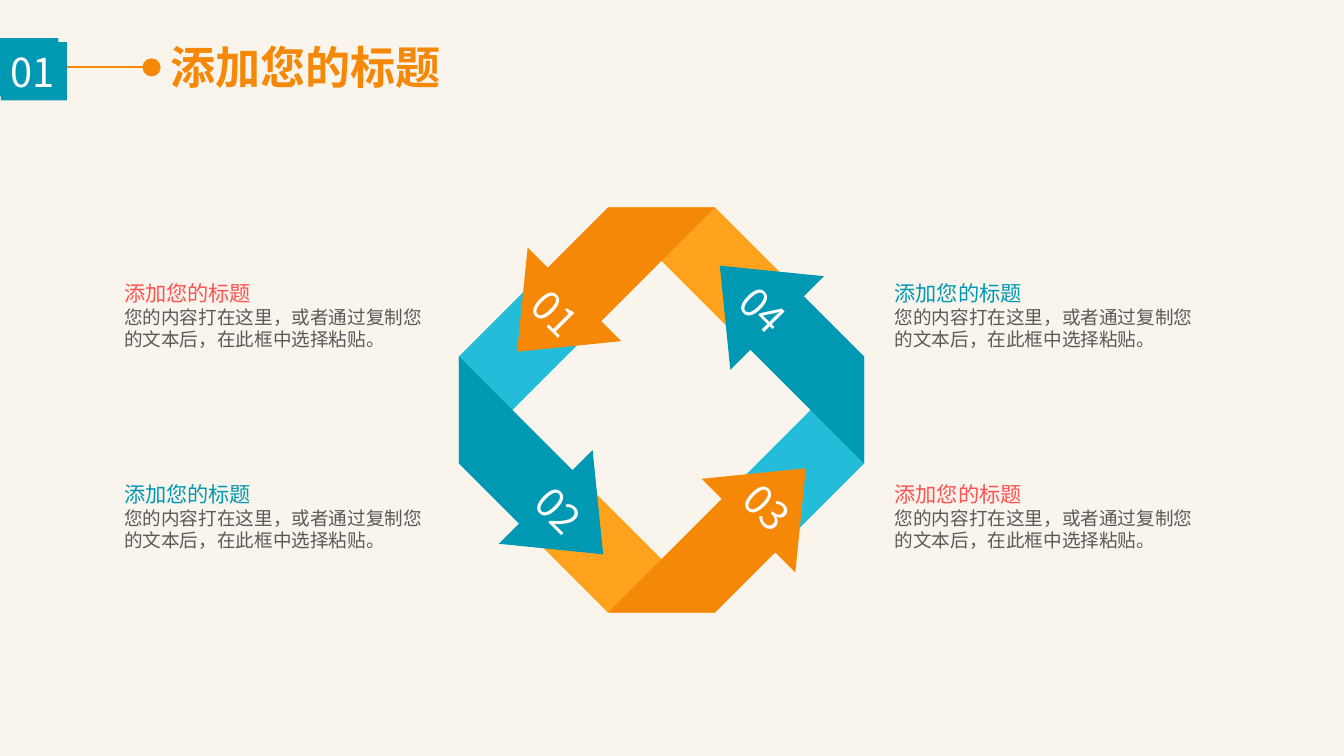
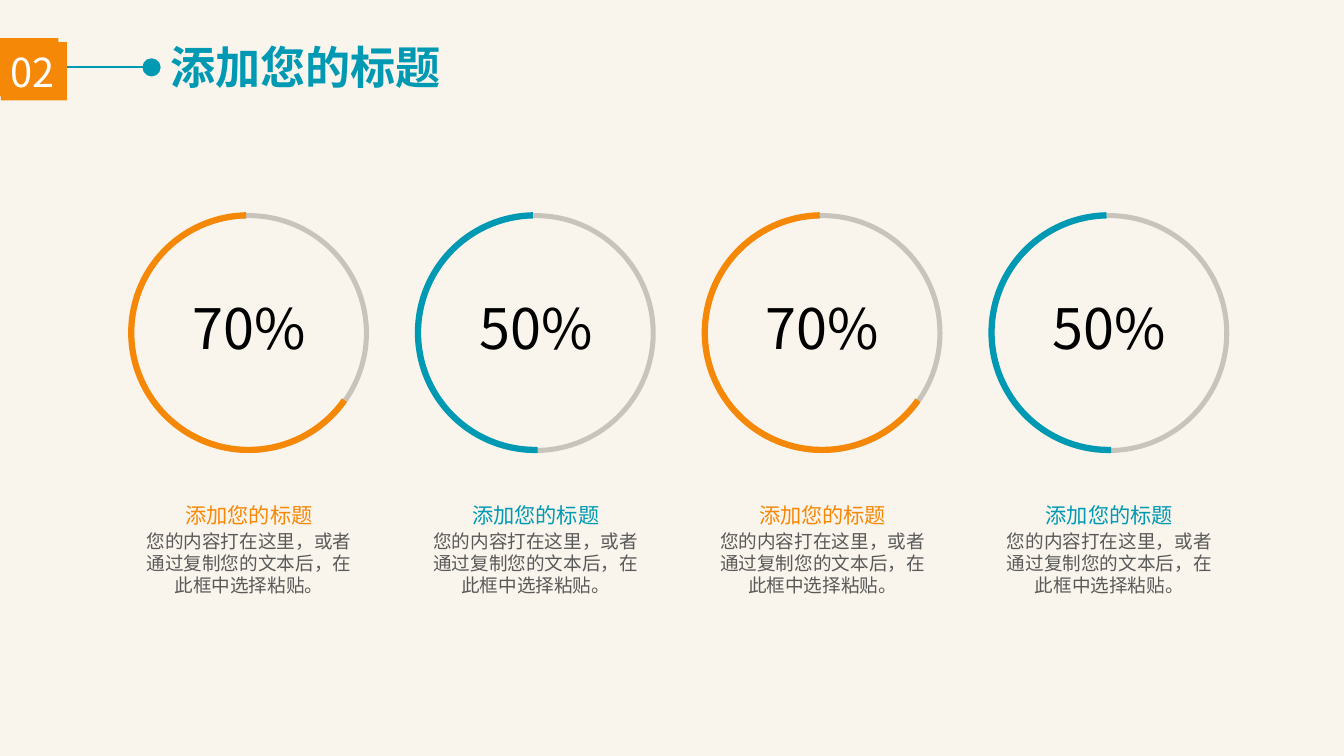
from math import cos, pi, sin

from lxml.etree import SubElement
from pptx import Presentation
from pptx.dml.color import RGBColor
from pptx.enum.shapes import MSO_CONNECTOR, MSO_SHAPE
from pptx.enum.text import MSO_ANCHOR, MSO_AUTO_SIZE, PP_ALIGN
from pptx.oxml.ns import qn
from pptx.util import Inches, Pt

SLIDE_W, SLIDE_H = 14.06, 7.91
FONT = "Noto Sans CJK SC"
CREAM, WHITE, BLACK, GREY = "FAF5EC", "FFFFFF", "000000", "595959"
ORANGE, TEAL, GOLD, CYAN, CORAL = "F68808", "0099B4", "FFA31E", "24BDD9", "FF5252"
TITLE = "添加您的标题"
BODY = "您的内容打在这里，或者通过复制您的文本后，在此框中选择粘贴。"
HEADING_STYLE = {"size": 16, "line_spacing": 1.5}
BODY_STYLE = {"size": 14, "color": GREY}

ARROW = [(0.56, -2.12), (-0.56, -2.12), (-1.19, -1.49), (-1.4, -1.7),
         (-1.51, -0.61), (-0.42, -0.72), (-0.63, -0.93)]
TAIL = [(-2.12, 0.56), (-0.63, -0.93), (-1.19, -1.49), (-2.12, -0.56)]
ARROW_LABELS = [
    ("01", MSO_ANCHOR.BOTTOM, PP_ALIGN.CENTER, "margin_bottom", 0.32),
    ("02", MSO_ANCHOR.MIDDLE, PP_ALIGN.RIGHT, "margin_right", 0.42),
    ("03", MSO_ANCHOR.TOP, PP_ALIGN.CENTER, "margin_top", 0.32),
    ("04", MSO_ANCHOR.MIDDLE, PP_ALIGN.LEFT, "margin_left", 0.42),
]


def rgb(value):
    return RGBColor.from_string(value)


def inches(*values):
    return [Inches(v) for v in values]


def set_frame(tf, **format_values):
    values = {"word_wrap": True, "auto_size": MSO_AUTO_SIZE.NONE,
              "vertical_anchor": MSO_ANCHOR.TOP, **format_values}
    for name, value in values.items():
        setattr(tf, name, value)


def write(p, text, size, color, bold=False, align=PP_ALIGN.LEFT, line_spacing=1.0):
    for name, value in {"alignment": align, "line_spacing": line_spacing}.items():
        setattr(p, name, value)
    r = p.add_run()
    r.text = text
    for name, value in {"name": FONT, "size": Pt(size), "bold": bold}.items():
        setattr(r.font, name, value)
    r.font.color.rgb = rgb(color)
    SubElement(r.font._element, qn("a:ea")).set("typeface", FONT)


def add_text(s, box, *paragraphs):
    tf = s.shapes.add_textbox(*inches(*box)).text_frame
    set_frame(tf)
    for i, values in enumerate(paragraphs):
        write(tf.add_paragraph() if i else tf.paragraphs[0], **values)


def paint(sp, color, alpha=None):
    sp.shadow.inherit = False
    sp.fill.solid()
    sp.fill.fore_color.rgb = rgb(color)
    sp.line.fill.background()
    if alpha is not None:
        clr = sp.fill._xPr.find(qn("a:solidFill"))[0]
        SubElement(clr, qn("a:alpha")).set("val", str(alpha * 1000))


def add_preset(s, kind, box, color, alpha=None):
    sp = s.shapes.add_shape(kind, *inches(*box))
    paint(sp, color, alpha)
    return sp


def turn(point, angle):
    x, y = point
    return x * cos(angle) - y * sin(angle), x * sin(angle) + y * cos(angle)


def add_header(s, number, accent, badge_color):
    y = 0.7
    line = s.shapes.add_connector(MSO_CONNECTOR.STRAIGHT, *inches(0, y, 1.56, y))
    line.line.color.rgb = rgb(accent)
    line.line.width = Pt(1)
    SubElement(line._element.spPr, qn("a:effectLst"))
    add_preset(s, MSO_SHAPE.OVAL, (1.49, 0.61, 0.19, 0.19), accent)

    title = s.shapes.title
    box = dict(zip(("left", "top", "width", "height"), inches(1.68, 0.36, 3.07, 0.68)))
    for name, value in box.items():
        setattr(title, name, value)
    set_frame(title.text_frame, word_wrap=False, vertical_anchor=MSO_ANCHOR.MIDDLE)
    write(title.text_frame.paragraphs[0], TITLE, 34, accent, bold=True)

    add_preset(s, MSO_SHAPE.RECTANGLE, (0, 0.4, 0.61, 0.61), badge_color)
    badge = add_preset(s, MSO_SHAPE.RECTANGLE, (0.01, 0.44, 0.69, 0.61), badge_color)
    set_frame(badge.text_frame, word_wrap=False, vertical_anchor=MSO_ANCHOR.MIDDLE)
    write(badge.text_frame.paragraphs[0], number, 30, WHITE)


def add_ring_piece(s, center, points, quarter, color):
    tilt = pi / 4
    flat = [turn(pt, -quarter * pi / 2 - tilt) for pt in points]
    xs, ys = zip(*flat)
    mid = (min(xs) + max(xs)) / 2, (min(ys) + max(ys)) / 2
    cx, cy = (c + d for c, d in zip(center, turn(mid, tilt)))
    outline = [inches(cx + x - mid[0], cy + y - mid[1]) for x, y in flat]
    builder = s.shapes.build_freeform(*outline[0])
    builder.add_line_segments(outline[1:], close=True)
    sp = builder.convert_to_shape()
    sp.rotation = 45
    paint(sp, color)
    return sp


def add_arrow_ring(s, center):
    for quarter in range(4):
        add_ring_piece(s, center, TAIL, quarter, (CYAN, GOLD)[quarter % 2])
    for quarter, (label, anchor, align, margin, inset) in enumerate(ARROW_LABELS):
        sp = add_ring_piece(s, center, ARROW, quarter, (ORANGE, TEAL)[quarter % 2])
        set_frame(sp.text_frame, vertical_anchor=anchor, **{margin: Inches(inset)})
        write(sp.text_frame.paragraphs[0], label, 30, WHITE, align=align)


def add_gauge(s, box, percent, start, color):
    x, y, w, h = box
    d = w
    ring = add_preset(s, MSO_SHAPE.DONUT, (x, y, d, d), BLACK, alpha=20)
    ring.adjustments[0] = 0.021
    arc = add_preset(s, MSO_SHAPE.BLOCK_ARC, (x - 0.01, y - 0.01, d + 0.01, d + 0.01), color)
    for i, value in enumerate((start * 0.6, 268.84 * 0.6, 0.026)):
        arc.adjustments[i] = value
    center = {"align": PP_ALIGN.CENTER}
    rows = [
        (0.216, 0.184, {"text": percent, "size": 42, "color": BLACK, "line_spacing": 0.9}),
        (0.698, 0.11, {"text": TITLE, "color": color, **HEADING_STYLE}),
        (0.801, 0.199, {"text": BODY, **BODY_STYLE}),
    ]
    for top, height, values in rows:
        add_text(s, (x, y + top * h, w, height * h), {**values, **center})


def build_cycle_slide(s):
    add_header(s, "01", ORANGE, TEAL)
    add_arrow_ring(s, (6.92, 4.29))
    for col, x in enumerate((1.2, 9.26)):
        for row, y in enumerate((2.75, 4.85)):
            color = (CORAL, TEAL)[(col + row) % 2]
            add_text(s, (x, y, 3.5, 0.98),
                     {"text": TITLE, "color": color, **HEADING_STYLE},
                     {"text": BODY, **BODY_STYLE})


def build_gauge_slide(s):
    add_header(s, "02", TEAL, ORANGE)
    gauges = [("70%", 35.16, ORANGE), ("50%", 88.92, TEAL)] * 2
    for col, gauge in enumerate(gauges):
        add_gauge(s, (1.35 + 3 * col, 2.23, 2.51, 4.07), *gauge)


def main():
    prs = Presentation()
    prs.slide_width, prs.slide_height = inches(SLIDE_W, SLIDE_H)
    fill = prs.slide_master.background.fill
    fill.solid()
    fill.fore_color.rgb = rgb(CREAM)
    for build in (build_cycle_slide, build_gauge_slide):
        build(prs.slides.add_slide(prs.slide_layouts[5]))
    prs.save("out.pptx")


if __name__ == "__main__":
    main()
